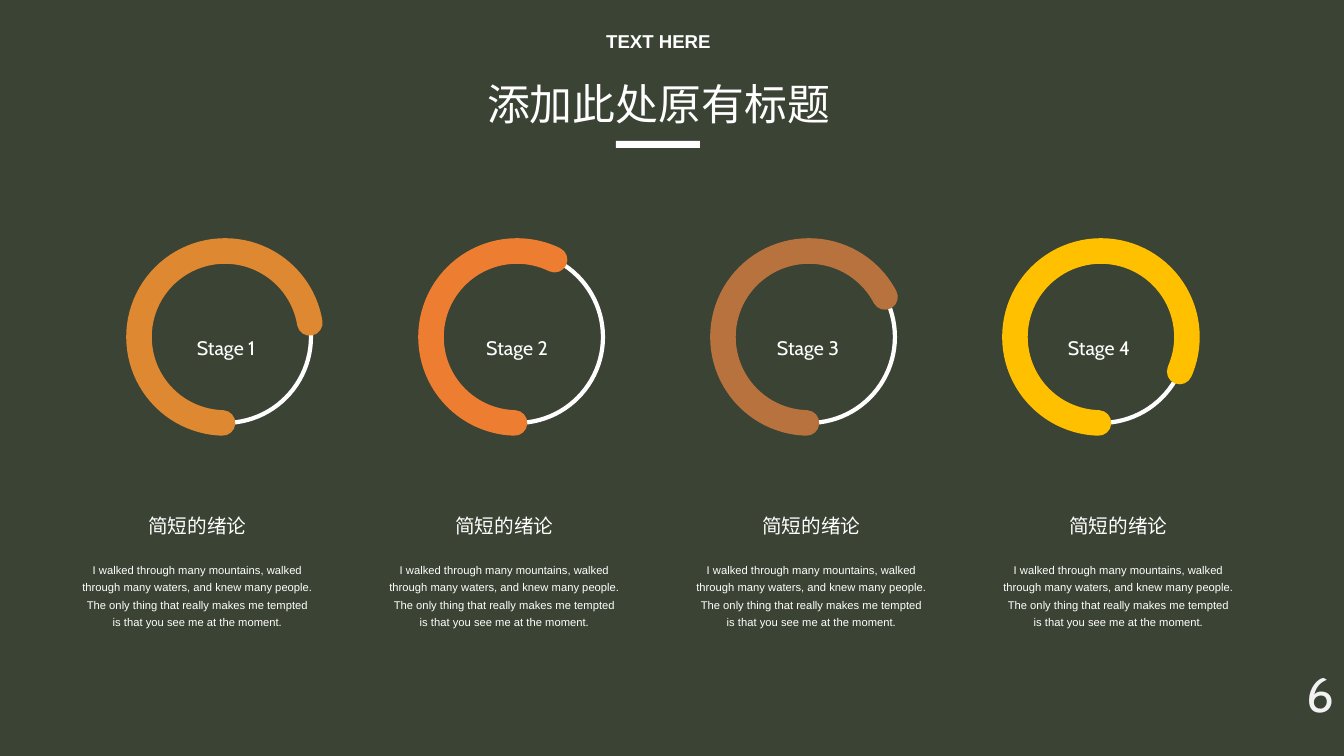
from dataclasses import dataclass

from lxml import etree
from pptx import Presentation
from pptx.dml.color import RGBColor
from pptx.enum import shapes, text
from pptx.oxml import ns
from pptx.util import Emu, Pt

PX = 914400 / 100.8


@dataclass(frozen=True)
class Theme:
    background: str = "3B4334"
    ink: str = "FFFFFF"
    number_ink: str = "F2F2F2"
    latin: str = "Arial"
    display: str = "Cabin"
    chinese: str = "Noto Sans CJK SC"
    number_size: float = 34.8
    title_size: float = 30.6
    kicker_size: float = 13.3
    label_size: float = 14
    body_size: float = 8
    track_width: float = 3
    progress_width: float = 18.25


@dataclass(frozen=True)
class Box:
    left: int
    top: int
    width: int
    height: int

    def inner(self, left, top, width, height):
        return Box(self.left + left, self.top + top, width, height)

    def emu(self):
        return [Emu(round(side * PX)) for side in (self.left, self.top, self.width, self.height)]


THEME = Theme()
RING_START = 91.6
RING_END = 89.9
STAGES = [
    ("Stage 1", "DE8831", 350.6),
    ("Stage 2", "ED7D31", 296),
    ("Stage 3", "B7723E", 332.3),
    ("Stage 4", "FFC000", 23.7),
]
HEADING = "简短的绪论"
BODY = (
    "I walked through many mountains, walked through many waters, and knew many people. "
    "The only thing that really makes me tempted is that you see me at the moment."
)


def colour(code):
    return RGBColor.from_string(code)


def add_text(page, box, words, font, size, ink=THEME.ink, align=text.PP_ALIGN.CENTER,
             spacing=1.0, bold=False, grow=False):
    frame = page.shapes.add_textbox(*box.emu()).text_frame
    frame.word_wrap = True
    if grow:
        frame.auto_size = text.MSO_AUTO_SIZE.SHAPE_TO_FIT_TEXT
    para = frame.paragraphs[0]
    para.alignment = align
    para.line_spacing = spacing
    span = para.add_run()
    span.text = words
    span.font.name = font
    span.font.size = Pt(size)
    span.font.bold = bold
    span.font.color.rgb = colour(ink)
    east_asian = etree.SubElement(span.font._element, ns.qn("a:ea"))
    east_asian.set("typeface", font)


def add_arc(page, box, end, ink, width, cap):
    arc = page.shapes.add_shape(shapes.MSO_SHAPE.ARC, *box.emu())
    arc.shadow.inherit = False
    arc.adjustments[0] = RING_START * 0.6
    arc.adjustments[1] = end * 0.6
    arc.fill.background()
    arc.line.color.rgb = colour(ink)
    arc.line.width = Pt(width)
    arc.line._ln.set("cap", cap)


def add_header(page, box):
    add_text(page, box.inner(0, 43, box.width, 56), "添加此处原有标题",
             THEME.chinese, THEME.title_size, spacing=1.1)
    add_text(page, box.inner(66, 0, 459, 32), "TEXT HERE",
             THEME.latin, THEME.kicker_size, bold=True)
    rule = page.shapes.add_shape(shapes.MSO_SHAPE.RECTANGLE, *box.inner(253, 116, 84, 7).emu())
    rule.shadow.inherit = False
    rule.fill.solid()
    rule.fill.fore_color.rgb = colour(THEME.ink)
    rule.line.fill.background()


def add_ring(page, box, ink, end):
    add_arc(page, box, RING_END, THEME.ink, THEME.track_width, "flat")
    add_arc(page, box, end, ink, THEME.progress_width, "rnd")


def add_summary(page, box):
    add_text(page, box.inner(0, 45, box.width, 81), BODY,
             THEME.latin, THEME.body_size, spacing=1.3, grow=True)
    add_text(page, box.inner(8, 0, 235, 34), HEADING,
             THEME.chinese, THEME.label_size, grow=True)


def add_stages(page, box):
    for index, (name, ink, end) in enumerate(STAGES):
        add_ring(page, box.inner(67 + 292 * index, 0, 172, 172), ink, end)
        add_text(page, box.inner(107 + 291 * index, 68, 94, 38), name,
                 THEME.display, THEME.label_size, spacing=1.5)
        add_summary(page, box.inner(307 * index, 258, 251, 126))


def add_page_number(page, box):
    add_text(page, box, "6", THEME.display, THEME.number_size,
             ink=THEME.number_ink, align=text.PP_ALIGN.RIGHT)


def main():
    deck = Presentation()
    deck.slide_width, deck.slide_height = Box(0, 0, 1344, 756).emu()[2:]
    page = deck.slides.add_slide(deck.slide_layouts[6])
    page.background.fill.solid()
    page.background.fill.fore_color.rgb = colour(THEME.background)
    add_page_number(page, Box(1031, 659, 313, 97))
    add_stages(page, Box(72, 251, 1172, 384))
    add_header(page, Box(363, 25, 591, 123))
    deck.save("out.pptx")


if __name__ == "__main__":
    main()
